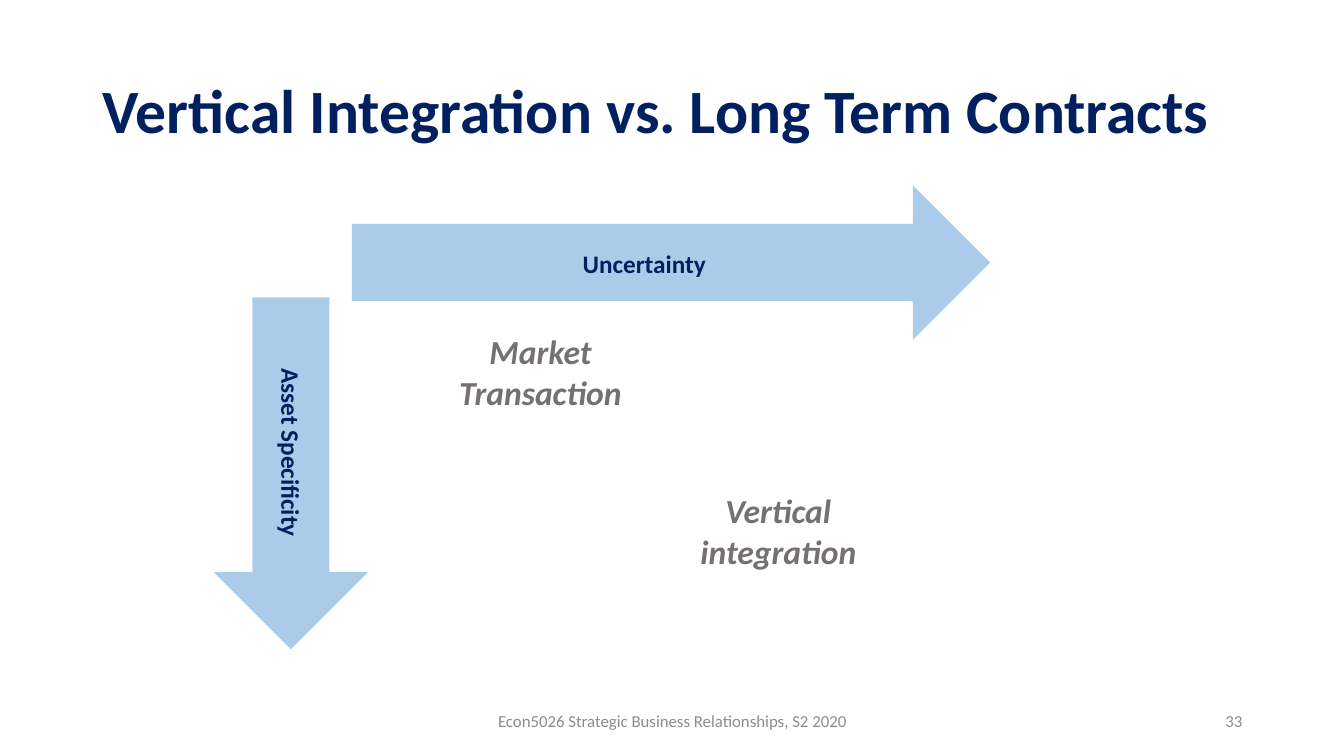
from pptx import Presentation
from pptx.dml.color import RGBColor
from pptx.enum.shapes import MSO_SHAPE
from pptx.enum.text import MSO_ANCHOR, PP_ALIGN
from pptx.oxml.ns import qn
from pptx.util import Inches, Pt
from lxml.etree import SubElement

NAVY, BLUE, GRAY, FOOTER_GRAY = "002060", "5B9BD5", "767171", "8C8C8C"


def color(value):
    return RGBColor.from_string(value)


def write(frame, text, size, tint, align=PP_ALIGN.CENTER, bold=False, italic=False):
    frame.text = text
    para = frame.paragraphs[0]
    para.alignment = align
    font = para.runs[0].font
    font.name, font.size = "Calibri", Pt(size)
    font.bold, font.italic = bold, italic
    font.color.rgb = color(tint)
    return para


def add_text(page, box, text, size, tint, anchor=MSO_ANCHOR.MIDDLE, **style):
    label = page.shapes.add_textbox(*map(Inches, box))
    label.text_frame.word_wrap = True
    label.text_frame.vertical_anchor = anchor
    write(label.text_frame, text, size, tint, **style)
    return label


def add_title(page, box, text):
    title = add_text(page, box, text, 44, NAVY, align=PP_ALIGN.LEFT, bold=True)
    title.text_frame.paragraphs[0].line_spacing = 0.9


def add_outcomes(page, box, rows):
    left, top, width, height = box
    table = page.shapes.add_table(len(rows), len(rows[0]), *map(Inches, box)).table
    table.first_row = table.horz_banding = False
    for row, texts in enumerate(rows):
        for column, text in enumerate(texts):
            cell = table.cell(row, column)
            cell.fill.background()
            cell.vertical_anchor = MSO_ANCHOR.MIDDLE
            if text:
                write(cell.text_frame, text, 24, GRAY, bold=True, italic=True)


def add_axis(page, box, label_box, text, rotation=0):
    """Place a translucent arrow and its label, both turned by rotation."""
    arrow = page.shapes.add_shape(MSO_SHAPE.RIGHT_ARROW, *map(Inches, box))
    arrow.shadow.inherit = False
    arrow.fill.solid()
    arrow.fill.fore_color.rgb = color(BLUE)
    tint = arrow.fill._xPr.find(qn("a:solidFill"))[0]
    SubElement(tint, qn("a:alpha")).set("val", "51000")
    arrow.line.fill.background()
    label = add_text(page, label_box, text, 18, NAVY, MSO_ANCHOR.TOP, bold=True)
    arrow.rotation = label.rotation = rotation


def add_footer(page, top, text, number):
    add_text(page, (4.42, top, 4.5, 0.4), text, 12, FOOTER_GRAY)
    add_text(page, (9.42, top, 3, 0.4), number, 12, FOOTER_GRAY, align=PP_ALIGN.RIGHT)


def main():
    deck = Presentation()
    deck.slide_width, deck.slide_height = Inches(13.33), Inches(7.5)
    page = deck.slides.add_slide(deck.slide_layouts[6])
    add_title(page, (0.92, 0.4, 11.5, 1.45), "Vertical Integration vs. Long Term Contracts")
    add_footer(page, 6.95, "Econ5026 Strategic Business Relationships, S2 2020", "33")
    add_outcomes(page, (4.18, 2.92, 4.72, 3.15),
                 [("Market Transaction", ""), ("", "Vertical integration")])
    add_axis(page, (3.49, 1.84, 6.33, 1.53), (4.68, 2.41, 3.42, 0.4), "Uncertainty")
    add_axis(page, (1.14, 3.93, 3.49, 1.53), (1.18, 4.29, 3.42, 0.4),
             "Asset Specificity", rotation=90)
    deck.save("out.pptx")


if __name__ == "__main__":
    main()
